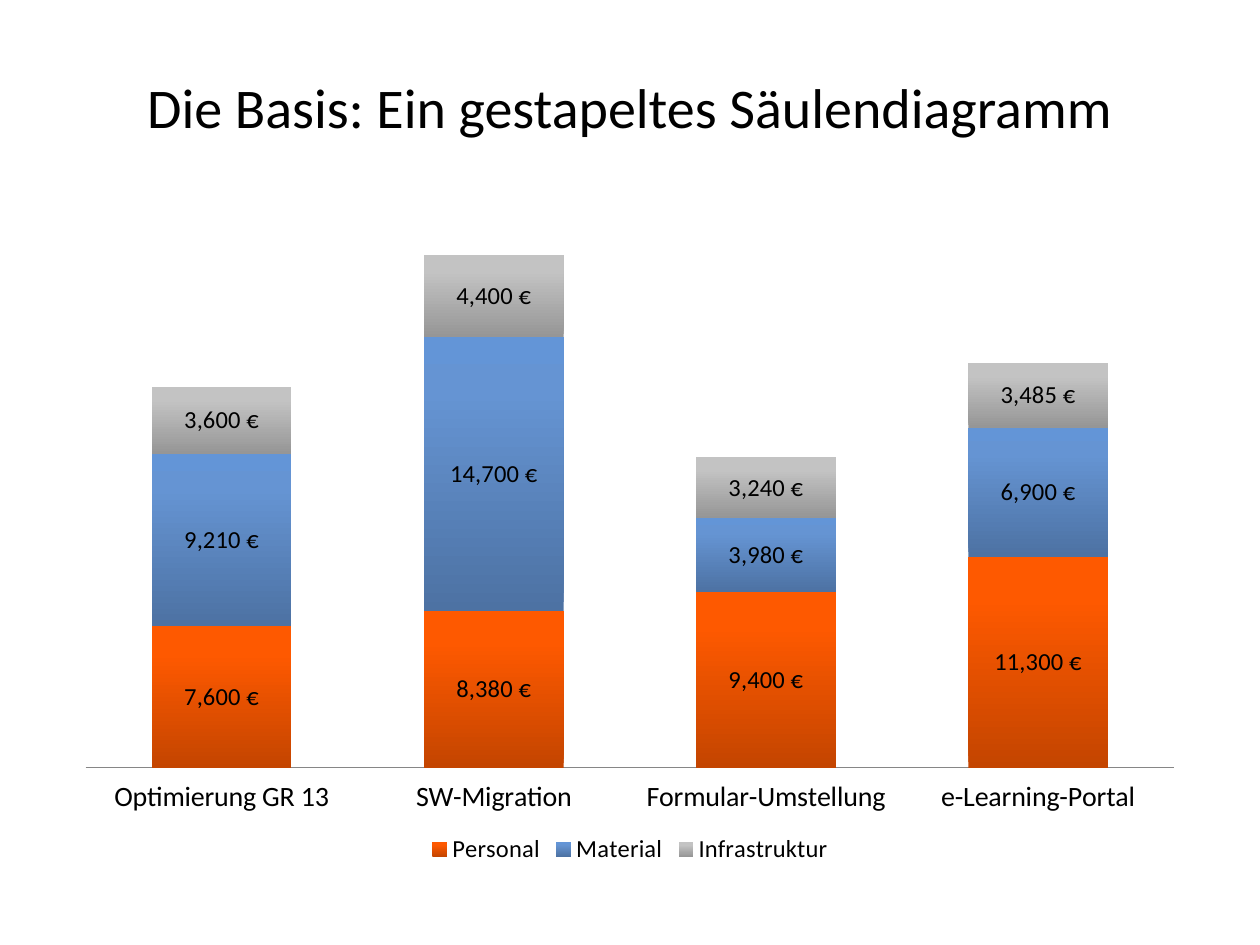
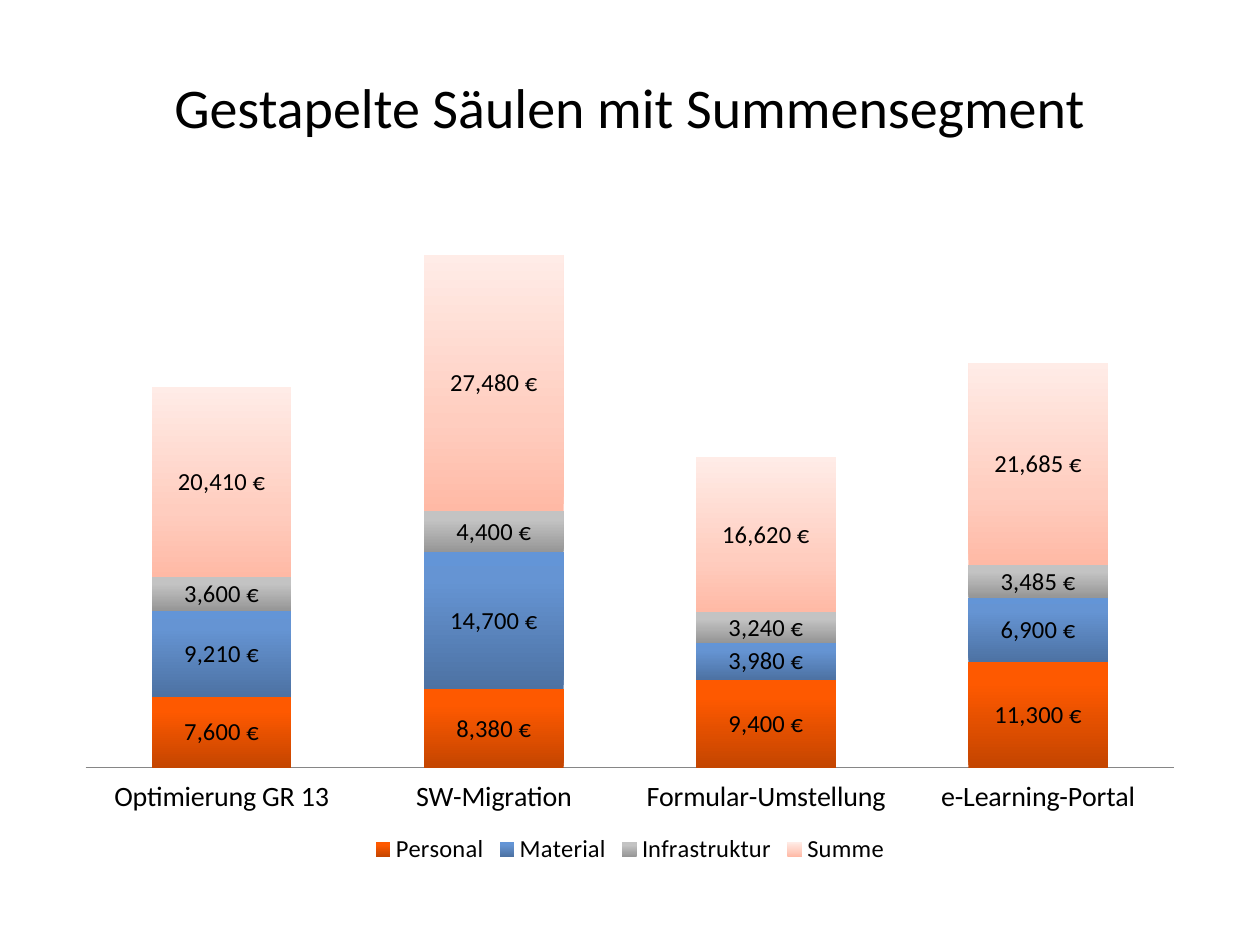
from dataclasses import dataclass

from lxml.etree import SubElement
from pptx import Presentation
from pptx.chart.data import CategoryChartData
from pptx.dml.color import RGBColor as Rgb
from pptx.enum.chart import XL_CHART_TYPE as ChartType
from pptx.enum.chart import XL_LABEL_POSITION as LabelPos
from pptx.enum.chart import XL_LEGEND_POSITION as LegendPos
from pptx.enum.chart import XL_TICK_LABEL_POSITION as TickLabels
from pptx.enum.chart import XL_TICK_MARK as Tick
from pptx.enum.text import MSO_ANCHOR as Anchor
from pptx.enum.text import PP_ALIGN as Align
from pptx.oxml.ns import qn
from pptx.util import Cm, Pt


@dataclass(frozen=True)
class Theme:
    font: str = "Calibri"
    text: str = "000000"
    axis: str = "868686"
    title_size: int = 32
    category_size: int = 16
    chart_size: int = 14


THEME = Theme()
EURO = '#,##0\\ "€"'
TITLE_ONLY = 5

# Project costs and the gradient of each cost type, from bottom to top
PROJECTS = ["Optimierung GR 13", "SW-Migration", "Formular-Umstellung", "e-Learning-Portal"]
COSTS = {
    "Personal": [7600, 8380, 9400, 11300],
    "Material": [9210, 14700, 3980, 6900],
    "Infrastruktur": [3600, 4400, 3240, 3485],
}
TOTALS = {"Summe": [sum(parts) for parts in zip(*COSTS.values())]}
GRADIENTS = {
    "Personal": [(0, "C44500"), (80, "FE5900"), (100, "FF5A00")],
    "Material": [(0, "4D72A3"), (80, "6594D3"), (100, "6395D7")],
    "Infrastruktur": [(0, "969696"), (80, "C3C3C3"), (100, "C4C4C4")],
    "Summe": [(0, "FFB9A5"), (35, "FFCDBF"), (100, "FFECE7")],
}


def style_font(font, size, color=THEME.text):
    font.name = THEME.font
    font.size = Pt(size)
    font.bold = False
    font.color.rgb = Rgb.from_string(color)


def write_text(frame, text, *, size, color=THEME.text, align=Align.CENTER, anchor=Anchor.MIDDLE):
    frame.text = text
    frame.word_wrap = True
    frame.vertical_anchor = anchor
    paragraph = frame.paragraphs[0]
    paragraph.alignment = align
    style_font(paragraph.runs[0].font, size, color)


def add_titled_slide(deck, heading):
    slide = deck.slides.add_slide(deck.slide_layouts[TITLE_ONLY])
    title = slide.shapes.title
    title.left, title.top, title.width, title.height = Cm(1.27), Cm(0.76), Cm(22.86), Cm(2.77)
    write_text(title.text_frame, heading, size=THEME.title_size)
    return slide


def fill_gradient(series, stops):
    fill = series.format.fill
    fill.gradient()
    fill.gradient_angle = 90
    stop_list = next(series._element.iter(qn("a:gsLst")))
    for old_stop in list(stop_list):
        stop_list.remove(old_stop)
    for percent, color in stops:
        stop = SubElement(stop_list, qn("a:gs"), pos=str(percent * 1000))
        SubElement(stop, qn("a:srgbClr"), val=color)


def place_plot(chart, **fractions):
    """Fix the inner plot area as fractions of the chart."""
    plot_area = chart.plots[0]._element.getparent()
    layout = plot_area.find(qn("c:layout"))
    if layout is None:
        layout = plot_area.makeelement(qn("c:layout"))
        plot_area.insert(0, layout)
    manual = SubElement(layout, qn("c:manualLayout"))
    settings = {"layoutTarget": "inner", "xMode": "edge", "yMode": "edge", **fractions}
    for key, value in settings.items():
        SubElement(manual, qn(f"c:{key}"), val=str(value))


def add_cost_chart(slide, costs, axis_top):
    cost_data = CategoryChartData(number_format=EURO)
    cost_data.categories = PROJECTS
    for cost_type, amounts in costs.items():
        cost_data.add_series(cost_type, amounts)
    chart = slide.shapes.add_chart(
        ChartType.COLUMN_STACKED, Cm(1.27), Cm(3.94), Cm(22.86), Cm(13.59), cost_data
    ).chart
    chart.has_title = False
    style_font(chart.font, THEME.chart_size)
    place_plot(chart, x=0.02, y=0.018, w=0.96, h=0.831)

    # Columns
    columns = chart.plots[0]
    columns.gap_width, columns.overlap = 95, 100
    columns.vary_by_categories = False
    for series in columns.series:
        fill_gradient(series, GRADIENTS[series.name])
        labels = series.data_labels
        labels.show_value = True
        labels.number_format, labels.number_format_is_linked = EURO, False
        labels.position = LabelPos.CENTER
        style_font(labels.font, THEME.chart_size)

    # Axes
    projects = chart.category_axis
    projects.major_tick_mark = projects.minor_tick_mark = Tick.NONE
    projects.tick_label_position = TickLabels.LOW
    projects.format.line.color.rgb = Rgb.from_string(THEME.axis)
    projects.format.line.width = Pt(0.75)
    style_font(projects.tick_labels.font, THEME.category_size)
    amounts_axis = chart.value_axis
    amounts_axis.minimum_scale, amounts_axis.maximum_scale = 0, axis_top
    amounts_axis.has_major_gridlines = False
    amounts_axis.tick_labels.number_format = EURO
    amounts_axis.tick_labels.number_format_is_linked = False
    amounts_axis.visible = False

    # Legend
    chart.has_legend = True
    chart.legend.position = LegendPos.BOTTOM
    chart.legend.include_in_layout = False
    style_font(chart.legend.font, THEME.chart_size)


def main():
    deck = Presentation()
    deck.slide_width, deck.slide_height = Cm(25.4), Cm(19.05)

    basis = add_titled_slide(deck, "Die Basis: Ein gestapeltes Säulendiagramm")
    add_cost_chart(basis, COSTS, axis_top=30000)

    with_totals = add_titled_slide(deck, "Gestapelte Säulen mit Summensegment")
    add_cost_chart(with_totals, COSTS | TOTALS, axis_top=60000)

    deck.save("out.pptx")


if __name__ == "__main__":
    main()
